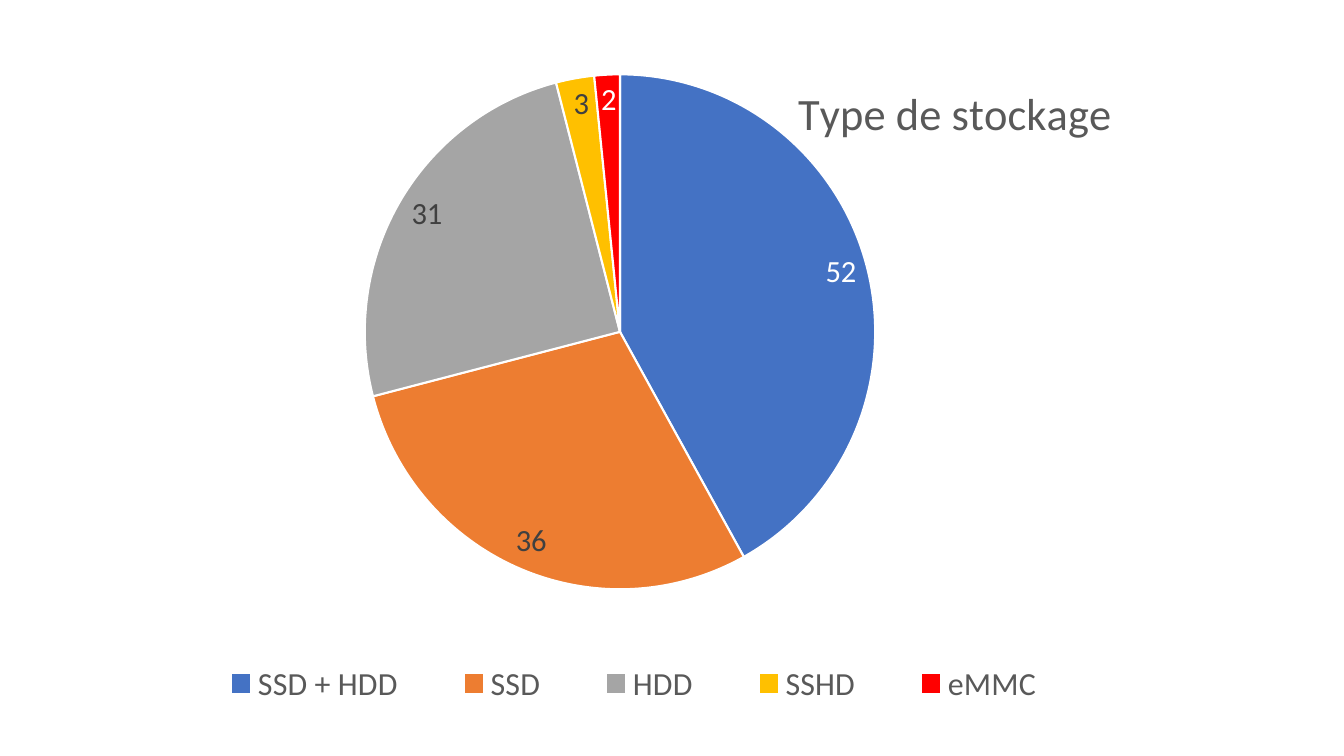
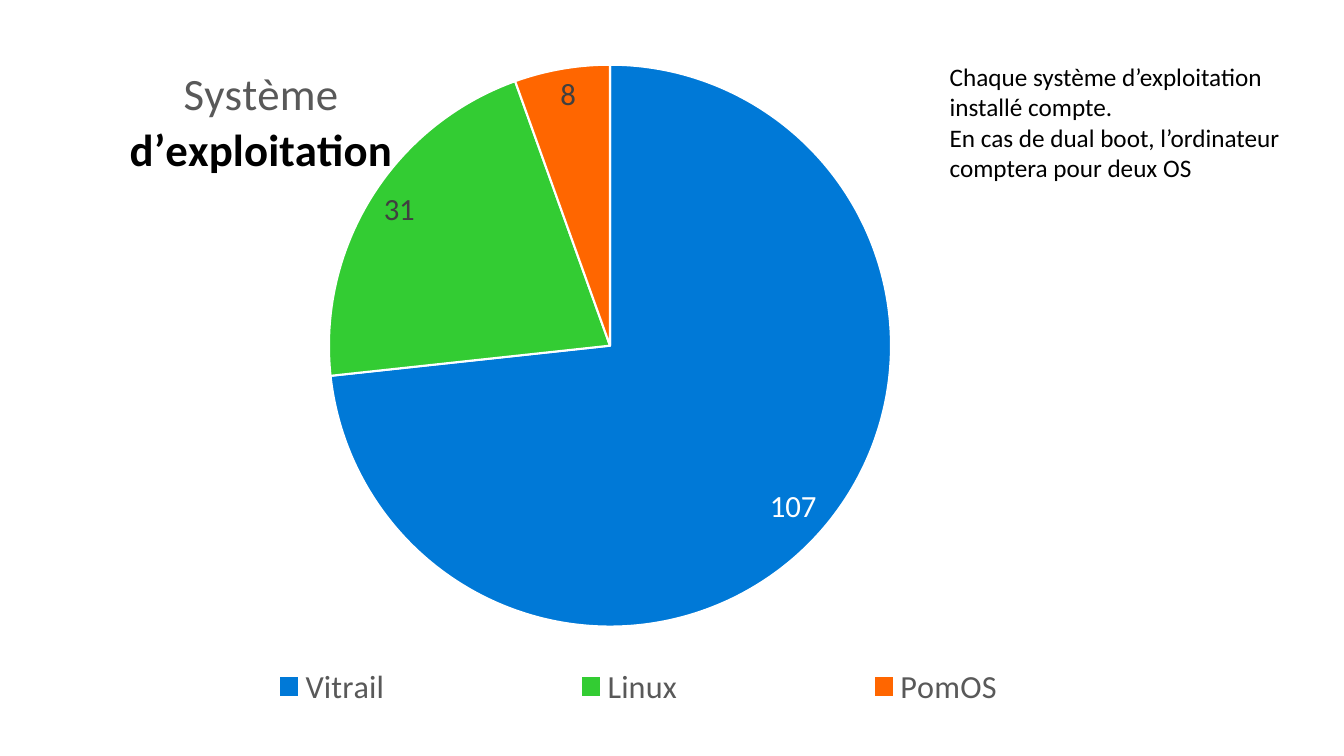
"""Build two pie chart slides on storage types and operating systems."""
import pptx
import pptx.chart.data
import pptx.dml.color
import pptx.enum.chart
import pptx.enum.text
import pptx.oxml
import pptx.oxml.ns
import pptx.util
from pptx.util import Inches

FONT = "Calibri"
BLACK, WHITE, GREY, DARK = "000000", "FFFFFF", "595959", "404040"
BEST_FIT = pptx.enum.chart.XL_LABEL_POSITION.BEST_FIT
LEGEND_BOX = {"x": 0.01, "y": 0.88, "w": 0.97, "h": 0.1}


def style(font, color, **values):
    """Apply a colour, the shared typeface and further font values."""
    for name, value in {"name": FONT, **values}.items():
        setattr(font, name, pptx.util.Pt(value) if name == "size" else value)
    font.color.rgb = pptx.dml.color.RGBColor.from_string(color)


def place(part, box, inner=False):
    """Give a chart part a manual layout in fractions of the chart."""
    for old in part.xpath("c:layout"):
        part.remove(old)
    tags = [("layoutTarget", "inner")] if inner else []
    tags += [(axis + "Mode", "edge") for axis in "xy"] + list(box.items())
    layout = pptx.oxml.parse_xml(
        f'<c:layout {pptx.oxml.ns.nsdecls("c")}><c:manualLayout>'
        + "".join(f'<c:{tag} val="{value}"/>' for tag, value in tags)
        + "</c:manualLayout></c:layout>")
    overlay = part.xpath("c:overlay")
    if overlay:
        overlay[0].addprevious(layout)
    else:
        part.insert(0, layout)


pies = [
    {"at": (1.65, 0.16, 9.46, 7.12), "series": "Type de stockage",
     "title": [("Type de stockage", GREY, False)],
     "title_box": {"x": 0.66, "y": 0.08},
     "plot_box": {"x": 0.21, "y": 0.08, "w": 0.54, "h": 0.72},
     "slices": [("SSD + HDD", 52, "4472C4", WHITE), ("SSD", 36, "ED7D31", DARK),
                ("HDD", 31, "A5A5A5", DARK), ("SSHD", 3, "FFC000", DARK),
                ("eMMC", 2, "FF0000", WHITE)]},
    {"at": (0.81, 0.19, 11.15, 7.12), "series": "Système d’exploitation",
     "title": [("Système", GREY, False), ("d’exploitation", BLACK, True)],
     "title_box": {"x": 0.04, "y": 0.06},
     "plot_box": {"x": 0.22, "y": 0.06, "w": 0.5, "h": 0.79},
     "slices": [("Vitrail", 107, "0079D7", WHITE), ("Linux", 31, "33CC33", DARK),
                ("PomOS", 8, "FF6600", DARK)]},
]

prs = pptx.Presentation()
prs.slide_width, prs.slide_height = Inches(13.33), Inches(7.5)

for pie in pies:
    s = prs.slides.add_slide(prs.slide_layouts[6])
    data = pptx.chart.data.CategoryChartData()
    data.categories = [row[0] for row in pie["slices"]]
    data.add_series(pie["series"], [row[1] for row in pie["slices"]])
    chart = s.shapes.add_chart(pptx.enum.chart.XL_CHART_TYPE.PIE,
                               *map(Inches, pie["at"]), data).chart
    style(chart.font, BLACK, size=10)

    chart.has_title = True
    tf = chart.chart_title.text_frame
    for i, (text, color, bold) in enumerate(pie["title"]):
        p = tf.add_paragraph() if i else tf.paragraphs[0]
        r = p.add_run()
        r.text = text
        style(r.font, color, size=32, bold=bold)

    chart.has_legend = True
    chart.legend.position = pptx.enum.chart.XL_LEGEND_POSITION.BOTTOM
    chart.legend.include_in_layout = False
    style(chart.legend.font, GREY, size=23)

    plot = chart.plots[0]
    plot.vary_by_categories = True
    plot.has_data_labels = True
    plot.data_labels.show_value = True
    plot.data_labels.show_percentage = False
    plot.data_labels.position = BEST_FIT
    style(plot.data_labels.font, DARK, size=22)
    for i, (name, value, fill, label_color) in enumerate(pie["slices"]):
        point = plot.series[0].points[i]
        point.format.fill.solid()
        point.format.fill.fore_color.rgb = pptx.dml.color.RGBColor.from_string(fill)
        point.format.line.color.rgb = pptx.dml.color.RGBColor.from_string(WHITE)
        point.format.line.width = pptx.util.Pt(1.5)
        style(point.data_label.font, label_color, size=22)
        point.data_label.position = BEST_FIT

    place(chart.element.xpath("c:chart/c:title")[0], pie["title_box"])
    place(chart.element.xpath("c:chart/c:legend")[0], LEGEND_BOX)
    place(chart.element.xpath("c:chart/c:plotArea")[0], pie["plot_box"], inner=True)

tf = s.shapes.add_textbox(Inches(9.32), Inches(0.56), Inches(3.55), Inches(1.31)).text_frame
tf.word_wrap = True
tf.auto_size = pptx.enum.text.MSO_AUTO_SIZE.SHAPE_TO_FIT_TEXT
tf.text = ("Chaque système d’exploitation installé compte.\n"
           "En cas de dual boot, l’ordinateur comptera pour deux OS")
for p in tf.paragraphs:
    style(p.runs[0].font, BLACK, size=18)

prs.save("out.pptx")
